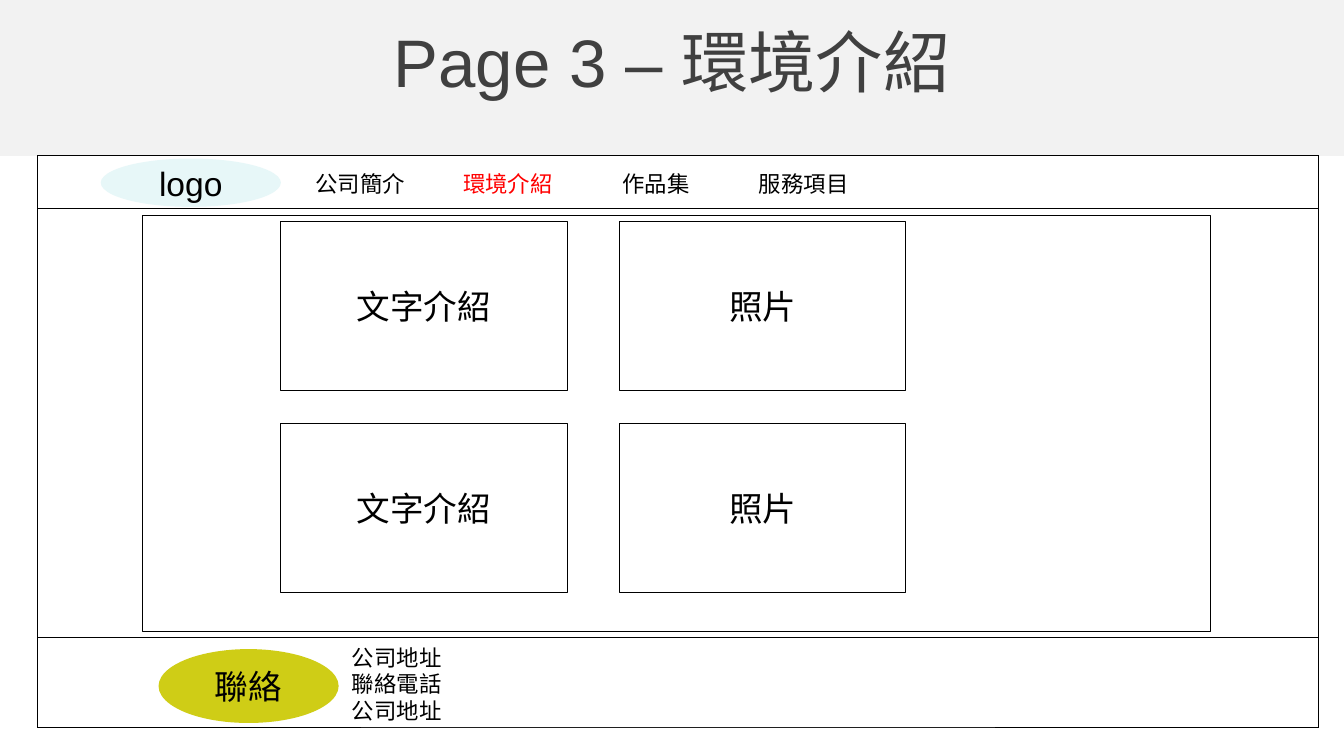
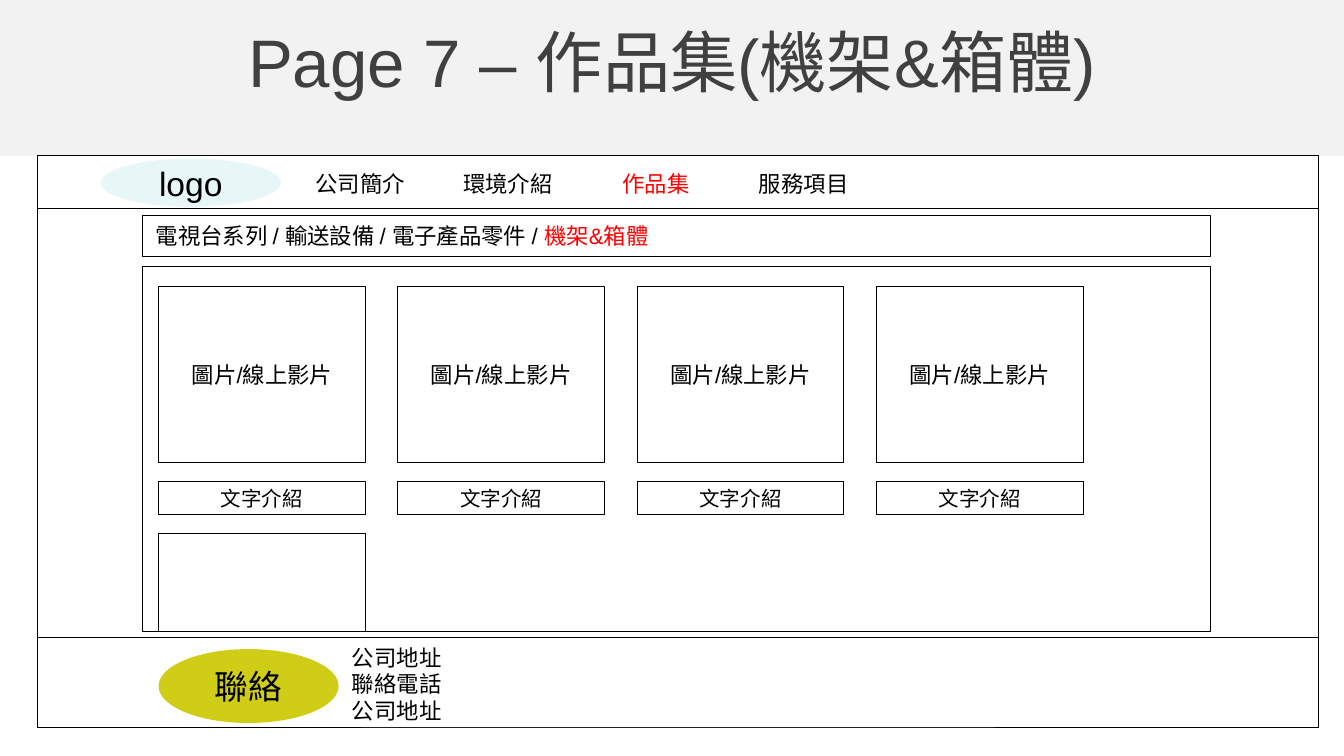
from dataclasses import dataclass
from pptx import Presentation, util as u
from pptx.dml.color import RGBColor
from pptx.enum import shapes, text


@dataclass(frozen=True)
class Theme:
    font: str = "Arial"
    ink: str = "000000"
    head: str = "404040"
    band: str = "F2F2F2"
    mark: str = "FF0000"
    logo: str = "E7F7F8"
    call: str = "CFCD16"
    title: int = 36
    large: int = 18
    body: int = 12
    small: int = 11
    rule: float = 0.5


T = Theme()
WIDE = 10
HIGH = WIDE * 9 / 16
EDGE, SPAN = 0.28, 9.53
TOP, FOOT, BASE = 1.16, 4.74, 5.41
PANE, BREADTH, START, END = 1.06, 7.95, 1.6, 4.7
MENU = ("公司簡介", "環境介紹", "作品集", "服務項目")
INFO = ("公司地址", "聯絡電話", "公司地址")
TRAIL = ("電視台系列", "輸送設備", "電子產品零件", "機架&箱體")
MID, LEFT = text.PP_ALIGN.CENTER, text.PP_ALIGN.LEFT
HIGHER, CENTRE = text.MSO_ANCHOR.TOP, text.MSO_ANCHOR.MIDDLE
RECT, OVAL = shapes.MSO_SHAPE.RECTANGLE, shapes.MSO_SHAPE.OVAL


def paint(font, size, color):
    font.name = T.font
    font.size = u.Pt(size)
    font.color.rgb = RGBColor.from_string(color)


def write(frame, lines, size, color=T.ink, align=MID, anchor=CENTRE):
    frame.word_wrap = True
    frame.vertical_anchor = anchor
    for n, line in enumerate(lines):
        para = frame.add_paragraph() if n else frame.paragraphs[0]
        para.text = line
        para.alignment = align
        paint(para.font, size, color)


def block(slide, area, label="", size=T.large, fill=None, form=RECT):
    shape = slide.shapes.add_shape(form, *map(u.Inches, area))
    shape.shadow.inherit = False
    if fill:
        shape.fill.solid()
        shape.fill.fore_color.rgb = RGBColor.from_string(fill)
        shape.line.fill.background()
    else:
        shape.fill.background()
        shape.line.color.rgb = RGBColor.from_string(T.ink)
        shape.line.width = u.Pt(T.rule)
    if label:
        write(shape.text_frame, [label], size)
    return shape


def note(slide, area, lines, **style):
    box = slide.shapes.add_textbox(*map(u.Inches, area))
    write(box.text_frame, lines, **style)
    return box


def menu(slide, active):
    for n, item in enumerate(MENU):
        box = note(slide, (2.17 + 1.1 * n, 1.22, 1.02, 0.3), [item],
                   size=T.body, color=T.mark if item == active else T.ink,
                   anchor=HIGHER)
        box.text_frame.auto_size = text.MSO_AUTO_SIZE.SHAPE_TO_FIT_TEXT


def page(deck, title, active):
    slide = deck.slides.add_slide(deck.slide_layouts[6])
    block(slide, (0, 0, WIDE, TOP), fill=T.band)
    note(slide, (0, 0.14, WIDE, 0.63), [title], size=T.title, color=T.head)
    for top, low in ((TOP, BASE), (TOP, 1.55), (FOOT, BASE)):
        block(slide, (EDGE, top, SPAN, low - top))
    block(slide, (0.75, 1.18, 1.34, 0.36), "logo", fill=T.logo, form=OVAL)
    block(slide, (1.18, 4.83, 1.34, 0.55), "聯絡", fill=T.call, form=OVAL)
    menu(slide, active)
    info = note(slide, (2.52, FOOT, 5.55, 0.71), INFO, size=T.body,
                align=LEFT, anchor=HIGHER)
    info.text_frame.auto_size = text.MSO_AUTO_SIZE.SHAPE_TO_FIT_TEXT
    return slide


def pane(slide, top):
    block(slide, (PANE, top, BREADTH, END - top))


def pairs(slide):
    for col, label in enumerate(("文字介紹", "照片")):
        for row in range(2):
            block(slide, (2.09 + 2.52 * col, 1.65 + 1.5 * row, 2.13, 1.26),
                  label)


def trail(slide):
    bar = block(slide, (PANE, START, BREADTH, 0.31))
    write(bar.text_frame, [" / ".join(TRAIL[:-1]) + " / "], T.body,
          align=LEFT)
    run = bar.text_frame.paragraphs[0].add_run()
    run.text = TRAIL[-1]
    run.font.color.rgb = RGBColor.from_string(T.mark)


def cards(slide):
    left, step, wide = 1.18, 1.78, 1.54
    block(slide, (left, 3.97, wide, END - 3.97))
    for col in range(4):
        x = left + step * col
        block(slide, (x, 2.13, wide, 1.31), "圖片/線上影片", T.body)
        block(slide, (x, 3.58, wide, 0.25), "文字介紹", T.small)


def main():
    deck = Presentation()
    deck.slide_width, deck.slide_height = u.Inches(WIDE), u.Inches(HIGH)

    place = page(deck, "Page 3 – 環境介紹", "環境介紹")
    pane(place, START)
    pairs(place)

    works = page(deck, "Page 7 – 作品集(機架&箱體)", "作品集")
    pane(works, 1.98)
    trail(works)
    cards(works)

    deck.save("out.pptx")


main()
